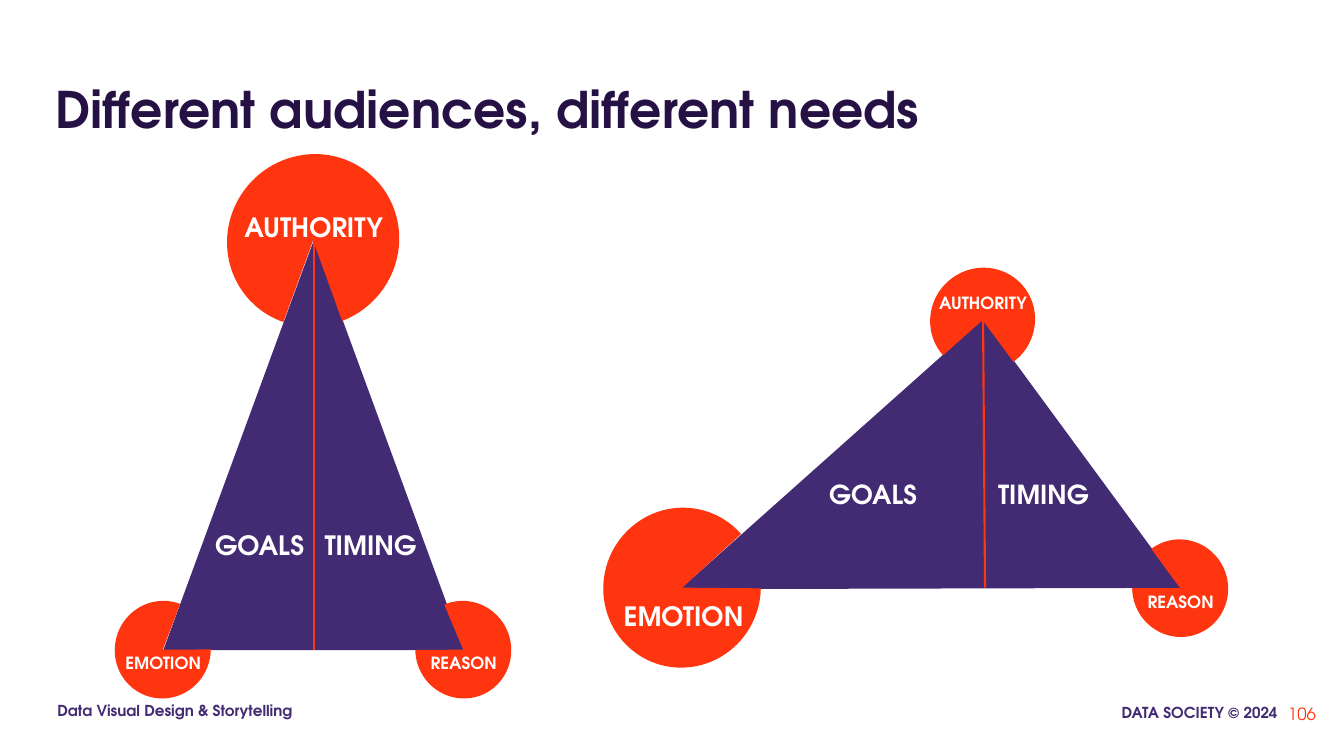
from lxml import etree
from pptx import Presentation
from pptx.dml.color import RGBColor
from pptx.enum import shapes, text
from pptx.oxml.ns import qn
from pptx.util import Inches, Pt

FONT = "TeX Gyre Adventor"
ORANGE, PURPLE, INK, WHITE = "FF350F", "422B72", "261144", "FFFFFF"
LEFT, CENTER, RIGHT = text.PP_ALIGN.LEFT, text.PP_ALIGN.CENTER, text.PP_ALIGN.RIGHT
TOP, MIDDLE, BOTTOM = text.MSO_ANCHOR.TOP, text.MSO_ANCHOR.MIDDLE, text.MSO_ANCHOR.BOTTOM
TRIANGLE = shapes.MSO_SHAPE.ISOSCELES_TRIANGLE
RIGHT_TRIANGLE = shapes.MSO_SHAPE.RIGHT_TRIANGLE
PIE = shapes.MSO_SHAPE.PIE


def color(value):
    """Turn a hex string into a colour."""
    return RGBColor.from_string(value)


def add_text(slide, box, words, size, fill, align=CENTER, anchor=TOP,
             margins=(0.13, 0.13), bold=True):
    """Add a one-line text box."""
    shape = slide.shapes.add_textbox(*map(Inches, box))
    frame = shape.text_frame
    frame.word_wrap = True
    frame.vertical_anchor = anchor
    frame.margin_left = frame.margin_right = Inches(margins[0])
    frame.margin_top = frame.margin_bottom = Inches(margins[1])
    paragraph = frame.paragraphs[0]
    paragraph.alignment = align
    run = paragraph.add_run()
    run.text = words
    run.font.name = FONT
    run.font.size = Pt(size)
    run.font.bold = bold
    run.font.color.rgb = color(fill)


def add_filled(slide, kind, box, fill, rotation=0, adjustments=(), flip=False):
    """Add a preset shape with a plain fill and no outline."""
    shape = slide.shapes.add_shape(kind, *map(Inches, box))
    shape.shadow.inherit = False
    shape.fill.solid()
    shape.fill.fore_color.rgb = color(fill)
    shape.line.fill.background()
    shape.rotation = rotation
    for index, value in enumerate(adjustments):
        shape.adjustments[index] = value
    if flip:
        shape.element.spPr.find(qn("a:xfrm")).set("flipH", "1")


def add_divider(slide, start, end):
    """Add the line that splits a triangle into goals and timing."""
    line = slide.shapes.add_connector(
        shapes.MSO_CONNECTOR.STRAIGHT, *map(Inches, start + end))
    line.line.color.rgb = color(ORANGE)
    line.line.width = Pt(1.5)
    etree.SubElement(line.element.spPr, qn("a:effectLst"))


def add_pyramid(slide, triangles, pies, divider, labels):
    """Add triangles, corner pies, the divider and the labels."""
    for kind, box, rotation, adjustments, flip in triangles:
        add_filled(slide, kind, box, PURPLE, rotation, adjustments, flip)
    for box, rotation, adjustments, flip in pies:
        add_filled(slide, PIE, box, ORANGE, rotation, adjustments, flip)
    add_divider(slide, *divider)
    for words, box, size in labels:
        add_text(slide, box, words, size, WHITE)


def add_tall_pyramid(slide):
    """Add the audience led by authority."""
    add_pyramid(
        slide,
        [(RIGHT_TRIANGLE, (3.11, 2.39, 1.49, 4.06), 0, (), False),
         (RIGHT_TRIANGLE, (1.62, 2.39, 1.49, 4.06), 0, (), True)],
        [((2.24, 1.54, 1.73, 1.69), 132.2, (202.72, 178.8), False),
         ((1.13, 5.97, 0.97, 0.95), 108.8, (214.75, 173.42), True),
         ((4.11, 5.97, 0.97, 0.95), 251.2, (213.56, 173.07), False)],
        ((3.11, 2.39), (3.11, 6.45)),
        [("AUTHORITY", (2.17, 1.96, 1.88, 0.52), 19),
         ("EMOTION", (0.68, 6.37, 1.88, 0.52), 12),
         ("REASON", (3.66, 6.37, 1.88, 0.52), 12),
         ("GOALS", (1.92, 5.12, 1.31, 0.52), 19),
         ("TIMING", (3.02, 5.12, 1.31, 0.52), 19)])


def add_wide_pyramid(slide):
    """Add the audience led by emotion."""
    add_pyramid(
        slide,
        [(TRIANGLE, (7.46, 3.68, 3.31, 4.01), 233.7, (0.885,), False)],
        [((9.22, 2.66, 1.05, 1.03), 137.4, (0.54, 165.68), False),
         ((5.97, 5.05, 1.59, 1.56), 108.8, (198.67, 172.98), True),
         ((11.22, 5.36, 0.97, 0.95), 251.2, (205.54, 173.32), False)],
        ((9.75, 3.16), (9.77, 5.83)),
        [("AUTHORITY", (8.81, 2.8, 1.88, 0.52), 12),
         ("EMOTION", (5.84, 5.82, 1.88, 0.52), 19),
         ("REASON", (10.77, 5.77, 1.88, 0.52), 12),
         ("GOALS", (7.94, 4.62, 1.44, 0.5), 18.7),
         ("TIMING", (9.63, 4.62, 1.44, 0.5), 18.7)])


def add_frame(slide):
    """Add the title, the footers and the page number."""
    add_text(slide, (0.45, 0.58, 12.42, 0.84), "Different audiences, different needs",
             36, INK, LEFT, BOTTOM, (0.1, 0.05))
    add_text(slide, (0.45, 6.87, 2.74, 0.42), "Data Visual Design & Storytelling",
             10.8, PURPLE, LEFT, margins=(0.12, 0.12))
    add_text(slide, (10.57, 6.89, 2.22, 0.42), "DATA SOCIETY © 2024",
             10.8, PURPLE, RIGHT, margins=(0.12, 0.12))
    add_text(slide, (12.35, 6.8, 0.8, 0.57), "106", 12, ORANGE, RIGHT, MIDDLE,
             (0.1, 0.05), bold=False)


def main():
    """Build and save the slide."""
    presentation = Presentation()
    presentation.slide_width = Inches(13.33)
    presentation.slide_height = Inches(7.5)
    slide = presentation.slides.add_slide(presentation.slide_layouts[6])
    add_frame(slide)
    add_tall_pyramid(slide)
    add_wide_pyramid(slide)
    presentation.save("out.pptx")


if __name__ == "__main__":
    main()
